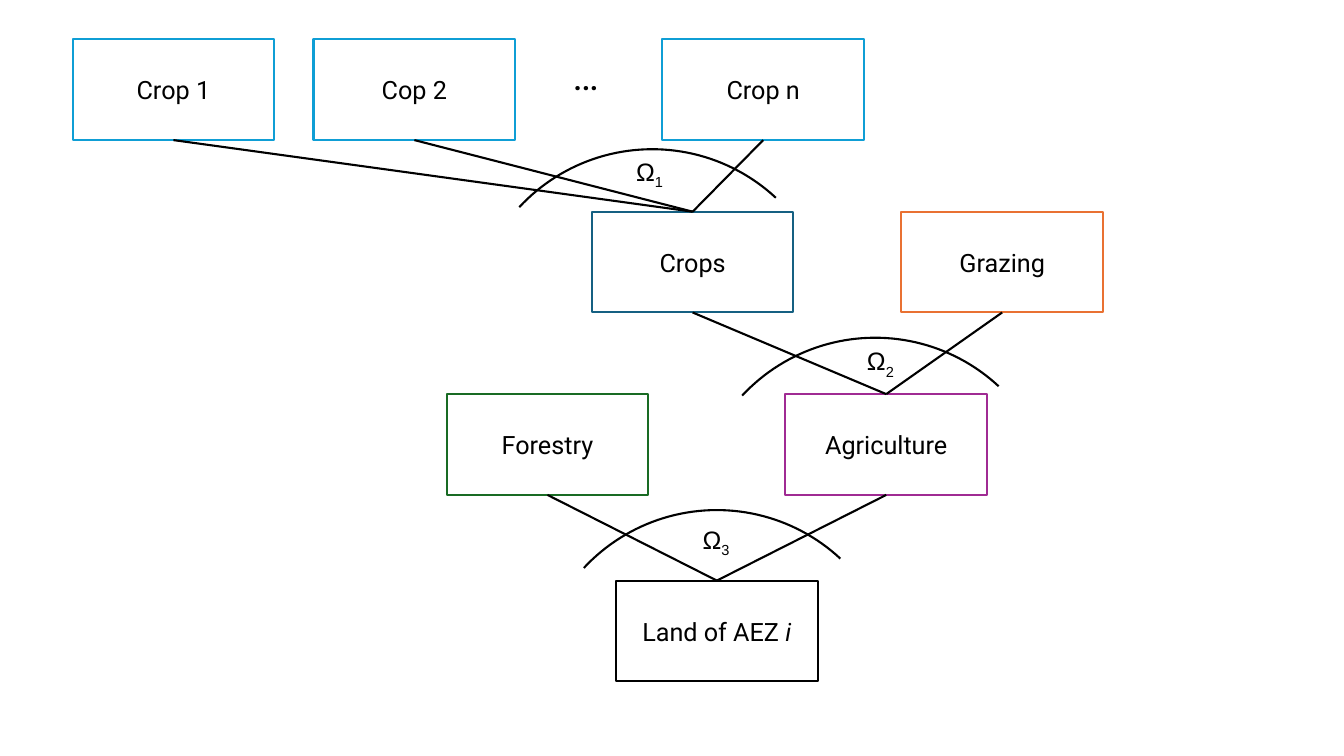
from lxml.etree import SubElement
from pptx import Presentation
from pptx.dml.color import RGBColor
from pptx.enum.shapes import MSO_CONNECTOR, MSO_SHAPE
from pptx.enum.text import MSO_ANCHOR, MSO_AUTO_SIZE, PP_ALIGN
from pptx.oxml.ns import qn
from pptx.util import Inches, Pt

BLACK = RGBColor(0x00, 0x00, 0x00)
WHITE = RGBColor(0xFF, 0xFF, 0xFF)
SKY = RGBColor(0x0F, 0x9E, 0xD5)
TEAL = RGBColor(0x15, 0x60, 0x82)
ORANGE = RGBColor(0xE9, 0x71, 0x32)
GREEN = RGBColor(0x19, 0x6B, 0x24)
PURPLE = RGBColor(0xA0, 0x2B, 0x93)

WIDTH, HEIGHT = 2, 1
ARC = 3.6
TILT = 312.9
STROKE = Pt(1.5)


def add_run(para, text, size=18, face="Roboto"):
    """Add a black run to a paragraph and return it."""
    run = para.add_run()
    run.text = text
    run.font.size = Pt(size)
    run.font.name = face
    run.font.color.rgb = BLACK
    return run


def add_node(slide, left, top, text, color, tail=""):
    """Draw a labelled box, with an optional italic tail."""
    node = slide.shapes.add_shape(
        MSO_SHAPE.RECTANGLE, Inches(left), Inches(top), Inches(WIDTH), Inches(HEIGHT))
    node.shadow.inherit = False
    node.fill.solid()
    node.fill.fore_color.rgb = WHITE
    node.line.color.rgb = color
    node.line.width = STROKE
    node.text_frame.vertical_anchor = MSO_ANCHOR.MIDDLE
    para = node.text_frame.paragraphs[0]
    para.alignment = PP_ALIGN.CENTER
    add_run(para, text)
    if tail:
        add_run(para, tail).font.italic = True
    return node


def add_text(slide, left, top, width, height):
    """Add an unwrapped text box and return its paragraph."""
    box = slide.shapes.add_textbox(
        Inches(left), Inches(top), Inches(width), Inches(height))
    box.text_frame.word_wrap = False
    box.text_frame.auto_size = MSO_AUTO_SIZE.SHAPE_TO_FIT_TEXT
    return box.text_frame.paragraphs[0]


def add_link(slide, base, child):
    """Join the top of a base box to the bottom of its child."""
    link = slide.shapes.add_connector(MSO_CONNECTOR.STRAIGHT, 0, 0, 0, 0)
    link.begin_connect(base, 0)
    link.end_connect(child, 2)
    link.line.color.rgb = BLACK
    link.line.width = STROKE
    SubElement(link.element.spPr, qn("a:effectLst"))


def add_nest(slide, base, kids, arc_at, sign_at, index):
    """Link a base box to its children under an arc marked with an omega."""
    for child in kids:
        add_link(slide, base, child)
    left, top = arc_at
    arc = slide.shapes.add_shape(
        MSO_SHAPE.ARC, Inches(left), Inches(top), Inches(ARC), Inches(ARC))
    arc.rotation = TILT
    arc.shadow.inherit = False
    arc.fill.background()
    arc.line.color.rgb = BLACK
    arc.line.width = STROKE
    para = add_text(slide, *sign_at, 0.48, 0.4)
    add_run(para, "Ω", face="Arial")
    sub = add_run(para, str(index), face="Arial")
    sub.font._element.set("baseline", "-25000")


def add_tree(slide):
    """Draw the land nests from single crops down to the whole zone."""
    crops = [add_node(slide, left, 0.39, text, SKY)
             for left, text in ((0.72, "Crop 1"), (3.11, "Cop 2"), (6.57, "Crop n"))]
    add_run(add_text(slide, 5.58, 0.46, 0.52, 0.57), "…", 28)
    crop = add_node(slide, 5.87, 2.1, "Crops", TEAL)
    graze = add_node(slide, 8.94, 2.1, "Grazing", ORANGE)
    wood = add_node(slide, 4.43, 3.91, "Forestry", GREEN)
    farm = add_node(slide, 7.79, 3.91, "Agriculture", PURPLE)
    land = add_node(slide, 6.11, 5.76, "Land of AEZ ", BLACK, "i")
    nests = (
        (crop, crops, (4.67, 1.48), (6.21, 1.5)),
        (farm, (crop, graze), (6.88, 3.35), (8.5, 3.38)),
        (land, (wood, farm), (5.31, 5.06), (6.87, 5.15)),
    )
    for index, nest in enumerate(nests, 1):
        add_nest(slide, *nest, index)


def main():
    """Build the deck and save it."""
    deck = Presentation()
    deck.slide_width = Inches(13.33)
    deck.slide_height = Inches(7.5)
    add_tree(deck.slides.add_slide(deck.slide_layouts[6]))
    deck.save("out.pptx")


if __name__ == "__main__":
    main()
